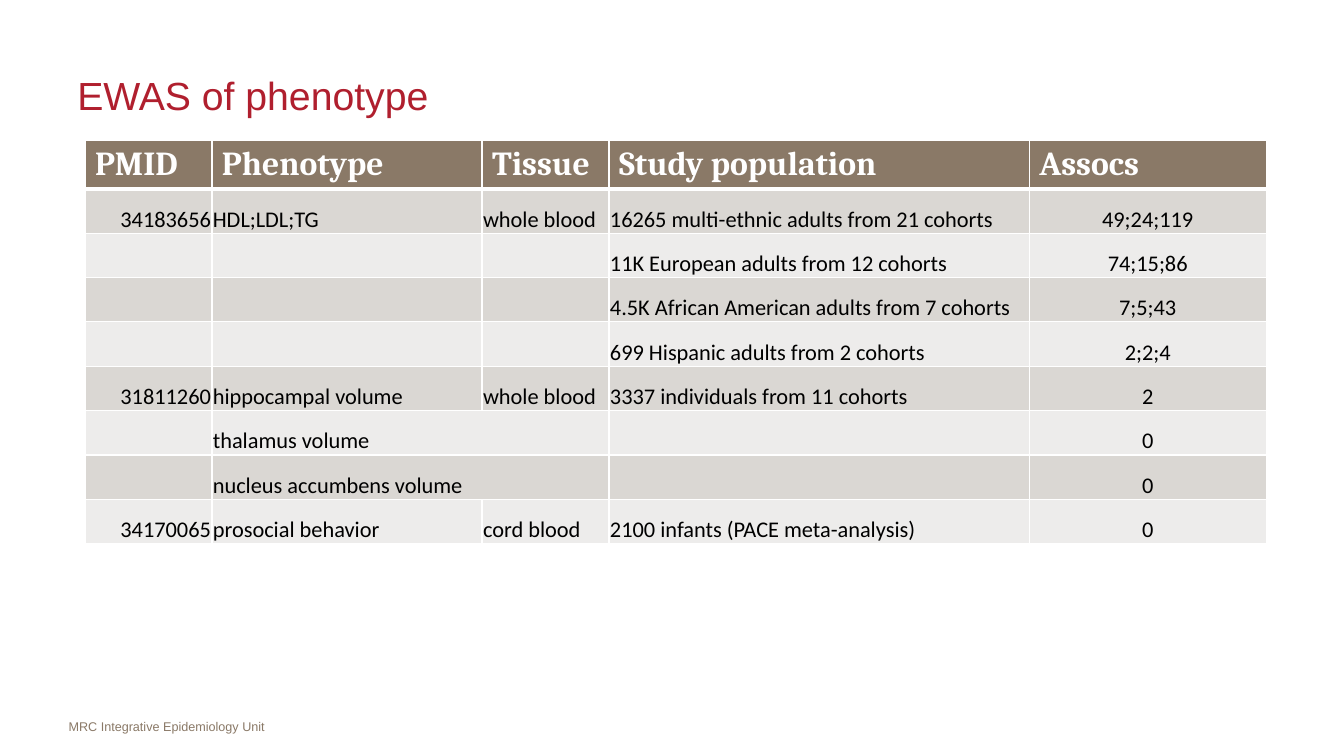
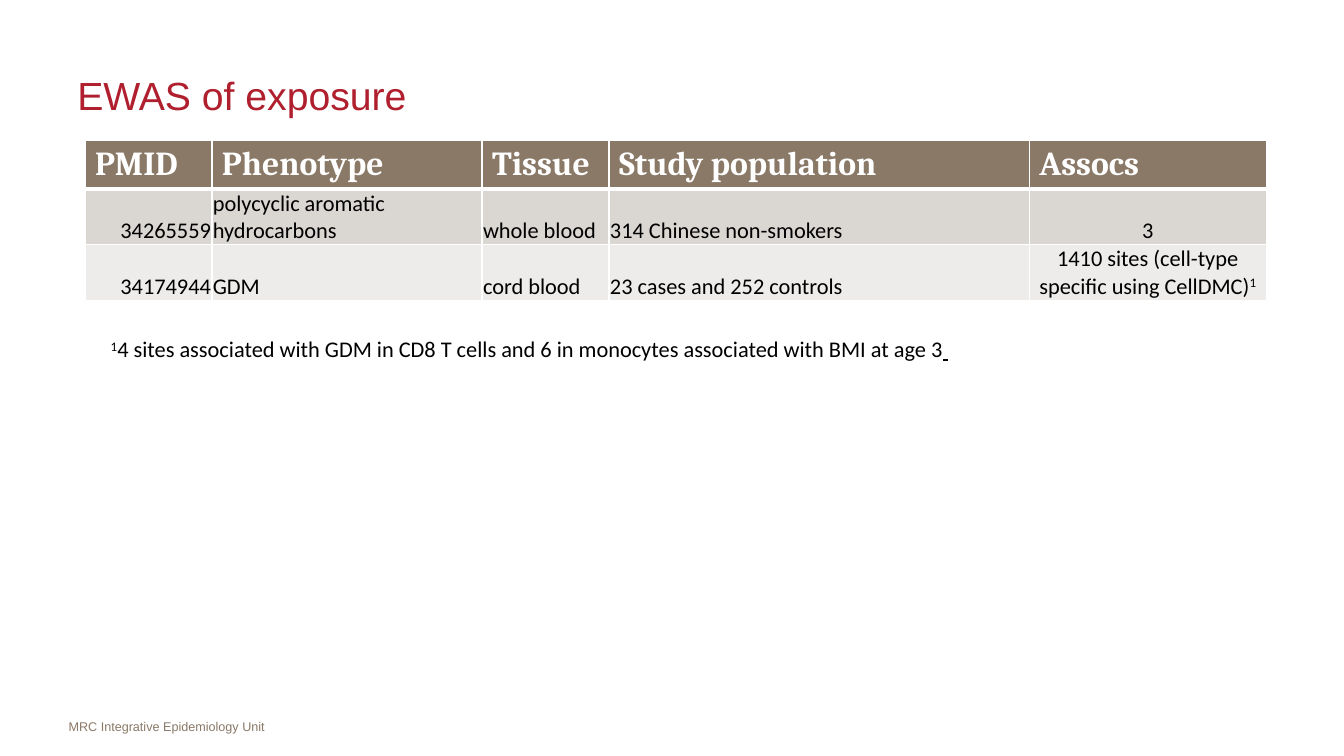
import pptx
import pptx.util
import pptx.dml.color
import pptx.enum.text
import pptx.oxml.ns
import lxml.etree

Pt = pptx.util.Pt
ALIGN = pptx.enum.text.PP_ALIGN
ANCHOR = pptx.enum.text.MSO_ANCHOR
RED, BROWN, WHITE, BLACK = "B01F2E", "8A7967", "FFFFFF", "000000"
BANDS = ["DAD7D3", "EDECEB"]
HEADINGS = ["PMID", "Phenotype", "Tissue", "Study population", "Assocs"]
WIDTHS = [90.7, 193, 90.7, 300.2, 169.2]
ALIGNS = [ALIGN.RIGHT, ALIGN.LEFT, ALIGN.LEFT, ALIGN.LEFT, ALIGN.CENTER]
HEADER_HEIGHT, ROW_HEIGHT = 28, 31.7

studies = [
    ("EWAS of phenotype", [
        ["34183656", "HDL;LDL;TG", "whole blood", "16265 multi-ethnic adults from 21 cohorts", "49;24;119"],
        ["", "", "", "11K European adults from 12 cohorts", "74;15;86"],
        ["", "", "", "4.5K African American adults from 7 cohorts", "7;5;43"],
        ["", "", "", "699 Hispanic adults from 2 cohorts", "2;2;4"],
        ["31811260", "hippocampal volume", "whole blood", "3337 individuals from 11 cohorts", "2"],
        ["", "thalamus volume", "", "", "0"],
        ["", "nucleus accumbens volume", "", "", "0"],
        ["34170065", "prosocial behavior", "cord blood", "2100 infants (PACE meta-analysis)", "0"],
    ]),
    ("EWAS of exposure", [
        ["34265559", "polycyclic aromatic hydrocarbons", "whole blood", "314 Chinese non-smokers", "3"],
        ["34174944", "GDM", "cord blood", "23 cases and 252 controls", "1410 sites (cell-type specific using CellDMC)¹"],
    ]),
]


def color(value):
    return pptx.dml.color.RGBColor.from_string(value)


def write(para, text, face, size, ink, align=ALIGN.LEFT, bold=False):
    para.alignment = align
    para.font.name = face
    para.font.size = Pt(size)
    para.font.bold = bold
    para.font.color.rgb = color(ink)
    for piece in filter(None, text.partition("¹")):
        span = para.add_run()
        span.text = piece.replace("¹", "1")
        if piece == "¹":
            span._r.get_or_add_rPr().set("baseline", "30000")


deck = pptx.Presentation()
deck.slide_width, deck.slide_height = Pt(960), Pt(540)
layout = deck.slide_layouts[5]

for title, rows in studies:
    page = deck.slides.add_slide(layout)
    heading = page.shapes.title
    heading.left, heading.top, heading.width, heading.height = Pt(48), Pt(36), Pt(856), Pt(64)
    heading.text_frame.vertical_anchor = ANCHOR.MIDDLE
    write(heading.text_frame.paragraphs[0], title, "Arial", 28, RED)

    height = HEADER_HEIGHT + ROW_HEIGHT * len(rows)
    table = page.shapes.add_table(
        len(rows) + 1, len(HEADINGS), Pt(60.7), Pt(100), Pt(sum(WIDTHS)), Pt(height)).table
    for column, width in zip(table.columns, WIDTHS):
        column.width = Pt(width)
    for r, texts in enumerate([HEADINGS] + rows):
        table.rows[r].height = Pt(ROW_HEIGHT if r else HEADER_HEIGHT)
        for c, text in enumerate(texts):
            cell = table.cell(r, c)
            edges = {"L": 1, "R": 1, "T": 3 if r == 1 else 1, "B": 1 if r else 3}
            for side, weight in edges.items():
                line = lxml.etree.SubElement(
                    cell._tc.get_or_add_tcPr(), pptx.oxml.ns.qn("a:ln" + side), w=str(Pt(weight)))
                fill = lxml.etree.SubElement(line, pptx.oxml.ns.qn("a:solidFill"))
                lxml.etree.SubElement(fill, pptx.oxml.ns.qn("a:srgbClr"), val=WHITE)
            cell.fill.solid()
            cell.fill.fore_color.rgb = color(BANDS[(r - 1) % 2] if r else BROWN)
            para = cell.text_frame.paragraphs[0]
            if r == 0:
                write(para, text, "Cambria", 24, WHITE, bold=True)
            elif text:
                cell.vertical_anchor = ANCHOR.BOTTOM
                cell.margin_left = cell.margin_right = cell.margin_top = Pt(0.7)
                cell.margin_bottom = 0
                write(para, text, "Calibri", 16, BLACK, ALIGNS[c])
        if texts[1] and not texts[2]:
            table.cell(r, 1).merge(table.cell(r, 2))

note = page.shapes.add_textbox(Pt(72), Pt(236), Pt(760), Pt(26.6))
note.text_frame.word_wrap = True
para = note.text_frame.paragraphs[0]
write(para, "¹4 sites associated with GDM in CD8 T cells and 6 in monocytes associated with BMI at age 3",
      "Calibri", 16, BLACK)
span = para.add_run()
span.text = " "
span.font.underline = True

footer = page.shapes.add_textbox(Pt(49), Pt(510), Pt(232), Pt(18))
footer.text_frame.word_wrap = True
footer.text_frame.margin_left = footer.text_frame.margin_right = 0
write(footer.text_frame.paragraphs[0], "MRC Integrative Epidemiology Unit", "Arial", 9, BROWN)
layout.shapes.element.append(footer.element)

deck.save("out.pptx")
